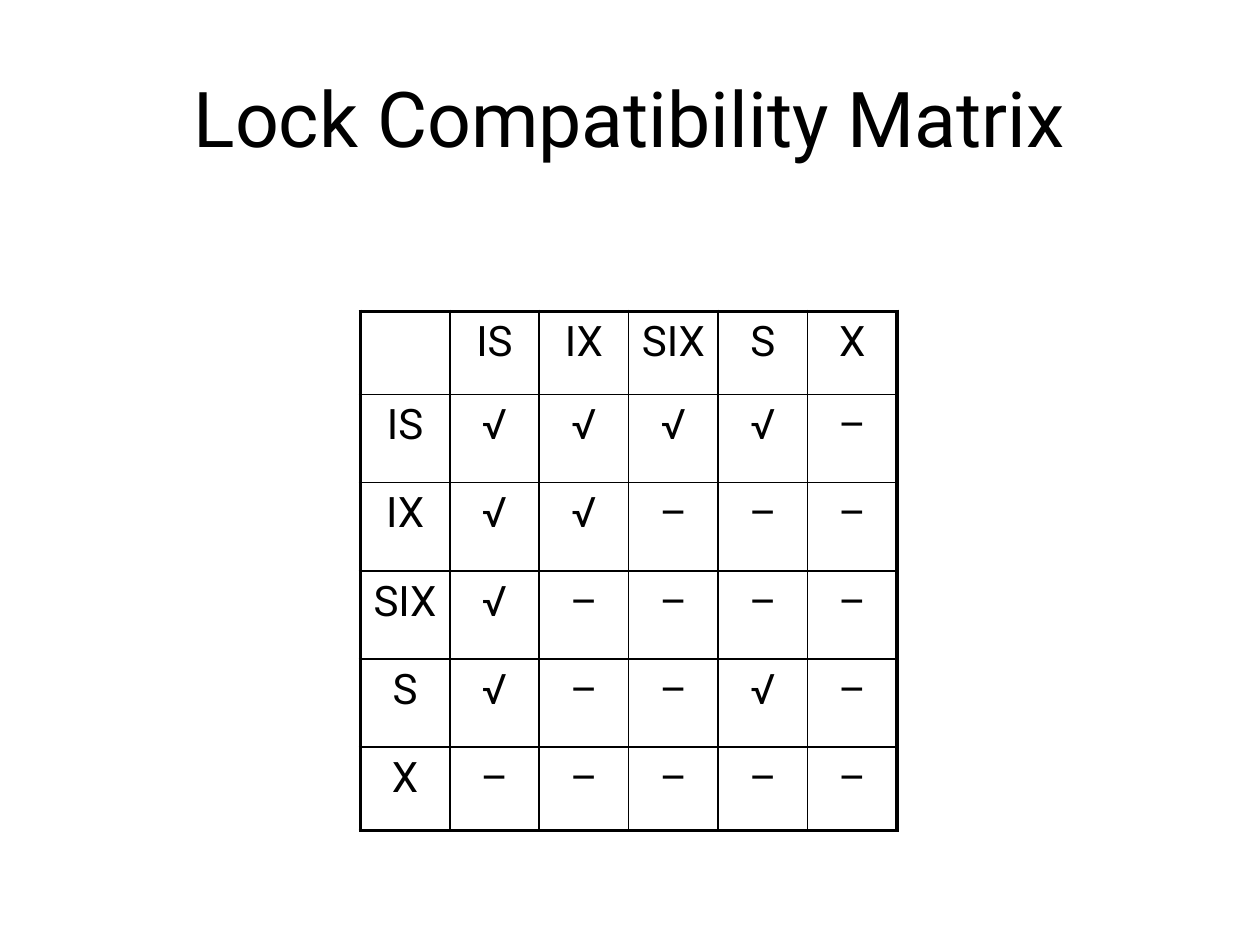
from lxml import etree
from pptx import Presentation
from pptx.dml.color import RGBColor
from pptx.enum.text import MSO_ANCHOR, PP_ALIGN
from pptx.oxml.ns import qn
from pptx.util import Inches, Pt

FONT = "Roboto"
INK = "000000"
OUTER_LINE = 2.25
INNER_LINE = 1
TITLE_BOX = (0.5, 0.3, 9, 1.25)
MATRIX_BOX = (2.86, 2.47, 4.26, 4.12)
EDGE_ROW_HEIGHT = 0.66
LOCK_MODES = ["IS", "IX", "SIX", "S", "X"]
COMPATIBILITY = ["√√√√–", "√√–––", "√––––", "√––√–", "–––––"]


def color(value):
    return RGBColor.from_string(value)


def format_paragraph(paragraph, size):
    paragraph.alignment = PP_ALIGN.CENTER
    paragraph.font.name = FONT
    paragraph.font.size = Pt(size)
    paragraph.font.color.rgb = color(INK)


def set_borders(cell, widths):
    properties = cell._tc.get_or_add_tcPr()
    for index, (side, width) in enumerate(widths.items()):
        line = etree.Element(qn(f"a:ln{side}"), w=str(Pt(width)))
        fill = etree.SubElement(line, qn("a:solidFill"))
        etree.SubElement(fill, qn("a:srgbClr"), val=INK)
        properties.insert(index, line)


def add_title(slide, box, text):
    frame = slide.shapes.add_textbox(*map(Inches, box)).text_frame
    frame.word_wrap = True
    frame.vertical_anchor = MSO_ANCHOR.MIDDLE
    frame.text = text
    format_paragraph(frame.paragraphs[0], 44)


def add_matrix(slide, box, rows):
    width, height = box[2:]
    last = len(rows) - 1
    table = slide.shapes.add_table(
        len(rows), len(rows[0]), *map(Inches, box)
    ).table
    table.first_row = False
    table.horz_banding = False
    for column in table.columns:
        column.width = Inches(width / len(rows[0]))
    middle_height = (height - 2 * EDGE_ROW_HEIGHT) / (len(rows) - 2)
    for r, values in enumerate(rows):
        is_edge = r in (0, last)
        table.rows[r].height = Inches(EDGE_ROW_HEIGHT if is_edge else middle_height)
        for c, value in enumerate(values):
            cell = table.cell(r, c)
            cell.fill.background()
            cell.text = value
            format_paragraph(cell.text_frame.paragraphs[0], 24)
            outer_sides = {
                "L": c == 0,
                "R": c == len(values) - 1,
                "T": r == 0,
                "B": r == last,
            }
            set_borders(cell, {
                side: OUTER_LINE if is_outer else INNER_LINE
                for side, is_outer in outer_sides.items()
            })


def main():
    presentation = Presentation()
    presentation.slide_width = Inches(10)
    presentation.slide_height = Inches(7.5)
    slide = presentation.slides.add_slide(presentation.slide_layouts[6])
    add_title(slide, TITLE_BOX, "Lock Compatibility Matrix")
    rows = [["", *LOCK_MODES]]
    rows += [[mode, *marks] for mode, marks in zip(LOCK_MODES, COMPATIBILITY)]
    add_matrix(slide, MATRIX_BOX, rows)
    presentation.save("out.pptx")


if __name__ == "__main__":
    main()
